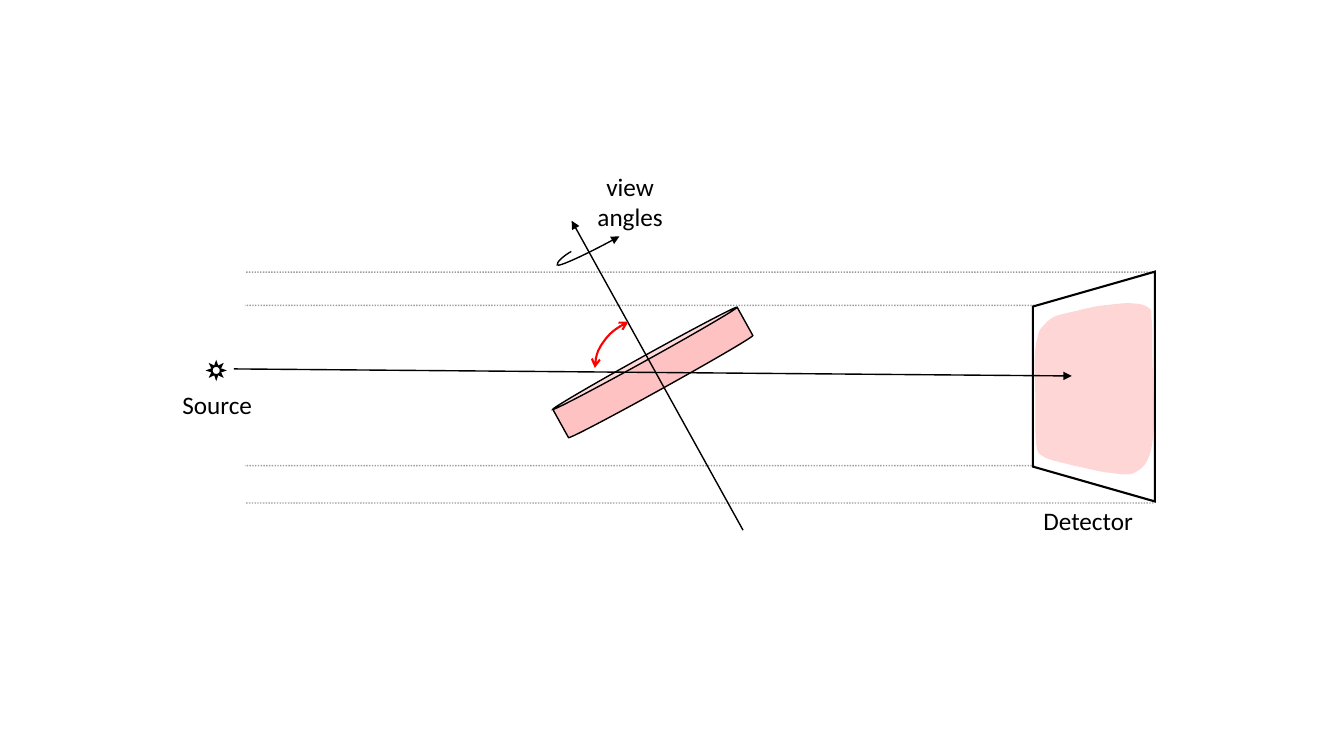
"""Build a slide showing the scan geometry of a tilted disc between a source and a detector."""
from lxml import etree
from pptx import Presentation
from pptx.dml.color import RGBColor
from pptx.enum.dml import MSO_LINE
from pptx.enum.shapes import MSO_CONNECTOR, MSO_SHAPE
from pptx.enum.text import MSO_AUTO_SIZE, PP_ALIGN
from pptx.oxml.ns import qn
from pptx.util import Inches, Pt

STRAIGHT, CURVED = MSO_CONNECTOR.STRAIGHT, MSO_CONNECTOR.CURVE
TRAPEZOID, SUN, CAN, ARC = MSO_SHAPE.TRAPEZOID, MSO_SHAPE.SUN, MSO_SHAPE.CAN, MSO_SHAPE.ARC
DOTTED = MSO_LINE.ROUND_DOT
LEFT, CENTER = PP_ALIGN.LEFT, PP_ALIGN.CENTER

THEME = {
    "font": "Calibri", "size": 18,
    "ink": RGBColor(0, 0, 0), "red": RGBColor(255, 0, 0),
    "thin": 1, "thick": 1.5,
    "shadow_alpha": 16, "disc_alpha": 24, "guide_alpha": 39,
}

SLIDE_SIZE = (13.33, 7.5)
LABELS = [
    ("Source", (1.71, 3.81, 1.09, 0.4), LEFT),
    ("Detector", (10.25, 4.96, 1.28, 0.4), LEFT),
    ("view angles", (5.8, 1.65, 0.9, 0.71), CENTER),
]
DETECTOR_BOX = (9.71, 3.23, 2.28, 1.21)
GUIDES = {10.26: (3.03, 4.62), 11.44: (2.7, 4.99)}
GUIDE_START = 2.43
AXIS = ((7.37, 5.26), (5.67, 2.19))
BEAM = ((2.32, 3.66), (10.63, 3.73))
TURN = ((5.66, 2.37), (6.15, 2.47))
TILT = 331
SHADOW_START = (10.27, 3.97)
SHADOW_CURVES = [
    ((10.27, 3.87), (10.26, 3.74), (10.26, 3.63)),
    ((10.26, 3.53), (10.27, 3.42), (10.29, 3.35)),
    ((10.3, 3.28), (10.32, 3.26), (10.35, 3.23)),
    ((10.38, 3.2), (10.4, 3.17), (10.46, 3.14)),
    ((10.51, 3.12), (10.57, 3.11), (10.65, 3.09)),
    ((10.74, 3.07), (10.84, 3.04), (10.94, 3.03)),
    ((11.04, 3.02), (11.16, 3), (11.24, 3.01)),
    ((11.31, 3.01), (11.37, 3.03), (11.4, 3.06)),
    ((11.43, 3.08), (11.42, 3.08), (11.42, 3.15)),
    ((11.43, 3.22), (11.43, 3.27), (11.43, 3.48)),
    ((11.43, 3.68), (11.46, 4.19), (11.43, 4.39)),
    ((11.4, 4.59), (11.34, 4.64), (11.27, 4.68)),
    ((11.2, 4.73), (11.1, 4.7), (11, 4.69)),
    ((10.9, 4.68), (10.76, 4.64), (10.65, 4.62)),
    ((10.55, 4.59), (10.41, 4.57), (10.35, 4.53)),
    ((10.29, 4.5), (10.29, 4.48), (10.28, 4.42)),
    ((10.27, 4.36), (10.27, 4.27), (10.27, 4.19)),
    ((10.27, 4.11), (10.27, 4.06), SHADOW_START),
]
UNITS_PER_INCH = 100


def set_alpha(properties, percent):
    color = next(properties.iter(qn("a:srgbClr")))
    etree.SubElement(color, qn("a:alpha")).set("val", str(percent * 1000))


def set_line(line, color, width, head=None, tail=None):
    line.color.rgb = color
    line.width = Pt(width)
    element = line._get_or_add_ln()
    etree.SubElement(element, qn("a:miter")).set("lim", "800000")
    for tag, kind in (("a:headEnd", head), ("a:tailEnd", tail)):
        if kind:
            etree.SubElement(element, qn(tag)).set("type", kind)


def set_fill(shape, alpha):
    shape.fill.solid()
    shape.fill.fore_color.rgb = THEME["red"]
    set_alpha(shape._element.spPr.find(qn("a:solidFill")), alpha)


def add_shape(slide, kind, box, rotation=0, adjustments=()):
    shape = slide.shapes.add_shape(kind, *map(Inches, box))
    shape.shadow.inherit = False
    shape.fill.background()
    shape.rotation = rotation
    for index, value in enumerate(adjustments):
        shape.adjustments[index] = value
    return shape


def add_line(slide, ends, kind=STRAIGHT, tail=None, dotted=False):
    start, end = ends
    connector = slide.shapes.add_connector(kind, *map(Inches, start + end))
    set_line(connector.line, THEME["ink"], THEME["thin"], tail=tail)
    properties = connector._element.spPr
    if dotted:
        connector.line.dash_style = DOTTED
        set_alpha(properties.find(qn("a:ln")), THEME["guide_alpha"])
    etree.SubElement(properties, qn("a:effectLst"))
    return connector


def add_label(slide, text, box, alignment):
    frame = slide.shapes.add_textbox(*map(Inches, box)).text_frame
    frame.word_wrap = True
    frame.auto_size = MSO_AUTO_SIZE.SHAPE_TO_FIT_TEXT
    frame.text = text
    paragraph = frame.paragraphs[0]
    paragraph.alignment = alignment
    font = paragraph.runs[0].font
    font.name, font.size = THEME["font"], Pt(THEME["size"])
    font.color.rgb = THEME["ink"]


def to_units(point):
    return tuple(round(value * UNITS_PER_INCH) for value in point)


def add_shadow(slide):
    anchors = [to_units(curve[-1]) for curve in SHADOW_CURVES]
    left, top = map(min, zip(*anchors))
    builder = slide.shapes.build_freeform(*to_units(SHADOW_START), scale=Inches(1 / UNITS_PER_INCH))
    builder.add_line_segments(anchors, close=True)
    shadow = builder.convert_to_shape()
    segments = list(shadow._element.iter(qn("a:lnTo")))
    for segment, curve in zip(segments, SHADOW_CURVES):
        bezier = etree.Element(qn("a:cubicBezTo"))
        for x, y in map(to_units, curve):
            point = etree.SubElement(bezier, qn("a:pt"))
            point.set("x", str(x - left))
            point.set("y", str(y - top))
        segment.getparent().replace(segment, bezier)
    shadow.shadow.inherit = False
    shadow.line.fill.background()
    set_fill(shadow, THEME["shadow_alpha"])


def add_turn(slide):
    properties = add_line(slide, TURN, CURVED, "triangle")._element.spPr
    properties.find(qn("a:xfrm")).set("rot", str(TILT * 60000))
    values = properties.find(qn("a:prstGeom")).find(qn("a:avLst"))
    guide = etree.SubElement(values, qn("a:gd"))
    guide.set("name", "adj1")
    guide.set("fmla", "val -38100")


def main():
    presentation = Presentation()
    presentation.slide_width, presentation.slide_height = map(Inches, SLIDE_SIZE)
    slide = presentation.slides.add_slide(presentation.slide_layouts[6])

    detector = add_shape(slide, TRAPEZOID, DETECTOR_BOX, 270, [0.286])
    set_line(detector.line, THEME["ink"], THEME["thick"])
    source = add_shape(slide, SUN, (2.06, 3.59, 0.17, 0.17))
    set_line(source.line, THEME["ink"], THEME["thin"])
    add_shadow(slide)
    add_turn(slide)
    disc = add_shape(slide, CAN, (5.43, 3.51, 2.09, 0.37), TILT, [0.134])
    set_fill(disc, THEME["disc_alpha"])
    set_line(disc.line, THEME["ink"], THEME["thin"])
    for ends in (AXIS, BEAM):
        add_line(slide, ends, tail="triangle")
    angle = add_shape(slide, ARC, (6.04, 2.98, 1.06, 1.34), 270, [162, 194.13])
    set_line(angle.line, THEME["red"], THEME["thick"], "arrow", "arrow")
    for label in LABELS:
        add_label(slide, *label)
    for edge, rows in GUIDES.items():
        for row in rows:
            add_line(slide, ((edge, row), (GUIDE_START, row)), dotted=True)
    presentation.save("out.pptx")


if __name__ == "__main__":
    main()
